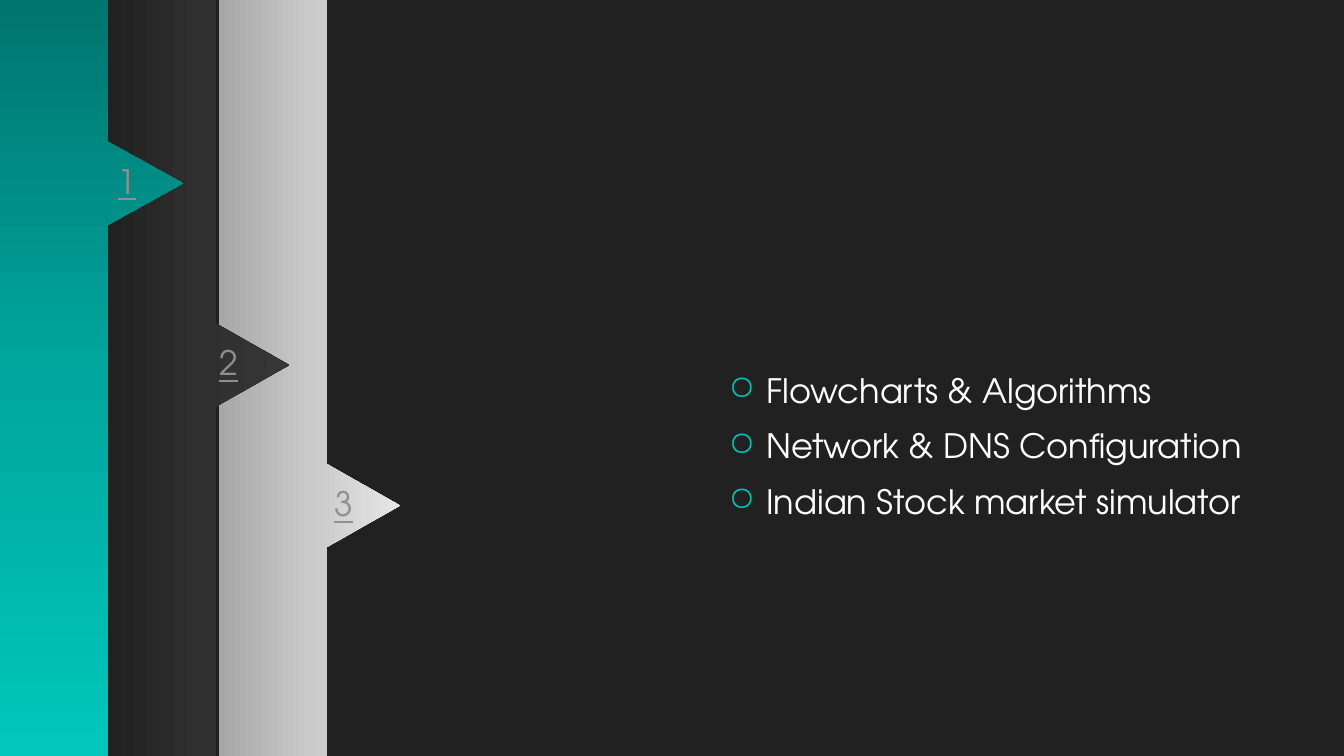
from copy import deepcopy

from lxml import etree
from pptx import Presentation
from pptx.dml.color import RGBColor
from pptx.enum.text import MSO_ANCHOR
from pptx.oxml.ns import qn
from pptx.util import Cm, Pt

MIDDLE = MSO_ANCHOR.MIDDLE
FONT = "TeX Gyre Adventor"
DARK = RGBColor(0x21, 0x21, 0x21)
WHITE = RGBColor(0xFF, 0xFF, 0xFF)
GRAY = RGBColor(0x8F, 0x8F, 0x8F)
AQUA = RGBColor(0x00, 0xC6, 0xBB)
SILVER = (RGBColor(0xA7, 0xA7, 0xA7), RGBColor(0xC9, 0xC9, 0xC9), RGBColor(0xE5, 0xE5, 0xE5))
COAL = (DARK, RGBColor(0x2F, 0x2F, 0x2F), RGBColor(0x37, 0x37, 0x37))
TEAL = (RGBColor(0x00, 0x75, 0x6F), RGBColor(0x00, 0xA7, 0x9E), AQUA)

TOPICS = [
    "Flowcharts & Algorithms",
    "Network & DNS Configuration",
    "Indian Stock market simulator",
]
# number, strip left, arrow tip x, arrow tip y, colours, gradient angle, label left, label width
STRIPS = [
    ("3", 5.51, 10.08, 12.74, SILVER, 0, 8.18, 1.83),
    ("2", 2.72, 7.29, 9.2, COAL, 0, 5.28, 1.83),
    ("1", 0, 4.62, 4.62, TEAL, 270, 2.72, 0.81),
]
WIDTH, HEIGHT = 33.87, 19.05
BAND = 2.72   # width of a strip
HALF = 1.05   # half the height of an arrow
RISE = 0.7    # label top above the arrow tip
SIZE = Pt(24)


def shade(fill, colors, angle):
    """Fill with evenly spaced gradient stops."""
    fill.gradient()
    fill.gradient_angle = angle
    stops = fill._fill._gradFill.find(qn("a:gsLst"))
    stops.append(deepcopy(stops[0]))
    for i, (stop, color) in enumerate(zip(fill.gradient_stops, colors)):
        stop.position = i / (len(colors) - 1)
        stop.color.rgb = color


def style(para, color):
    for run in para.runs:
        run.font.name = FONT
        run.font.size = SIZE
        run.font.color.rgb = color


def bullet(para):
    props = para._p.get_or_add_pPr()
    props.set("marL", str(Cm(0.95)))
    props.set("indent", str(-Cm(0.95)))
    tint = etree.SubElement(props, qn("a:buClr"))
    etree.SubElement(tint, qn("a:srgbClr")).set("val", str(AQUA))
    etree.SubElement(props, qn("a:buChar")).set("char", "○")


def strip(shapes, num, left, tip, mid, colors, angle, x, wide):
    """Draw a full-height band with an arrow on its right side and a number."""
    edge = left + BAND
    points = [(edge, 0), (edge, mid - HALF), (tip, mid), (edge, mid + HALF),
              (edge, HEIGHT), (left, HEIGHT)]
    pen = shapes.build_freeform(Cm(left), 0)
    pen.add_line_segments([(Cm(a), Cm(b)) for a, b in points], close=True)
    band = pen.convert_to_shape()
    band.shadow.inherit = False
    band.line.fill.background()
    shade(band.fill, colors, angle)

    label = shapes.add_textbox(Cm(x), Cm(mid - RISE), Cm(wide), Cm(1.27))
    label.text_frame.word_wrap = True
    label.text_frame.text = num
    para = label.text_frame.paragraphs[0]
    style(para, GRAY)
    para.runs[0].font.underline = True


def main():
    prs = Presentation()
    prs.slide_width, prs.slide_height = Cm(WIDTH), Cm(HEIGHT)
    slide = prs.slides.add_slide(prs.slide_layouts[6])
    slide.background.fill.solid()
    slide.background.fill.fore_color.rgb = DARK

    body = slide.shapes.add_textbox(Cm(18.11), Cm(6.17), Cm(14.78), Cm(10.11))
    frame = body.text_frame
    frame.word_wrap = True
    frame.vertical_anchor = MIDDLE
    frame.text = "\n".join(TOPICS)
    for i, para in enumerate(frame.paragraphs):
        bullet(para)
        para.space_before = Pt(4.8 if i else 0)
        para.space_after = Pt(6)
        style(para, WHITE)

    for row in STRIPS:
        strip(slide.shapes, *row)
    prs.save("out.pptx")


if __name__ == "__main__":
    main()
